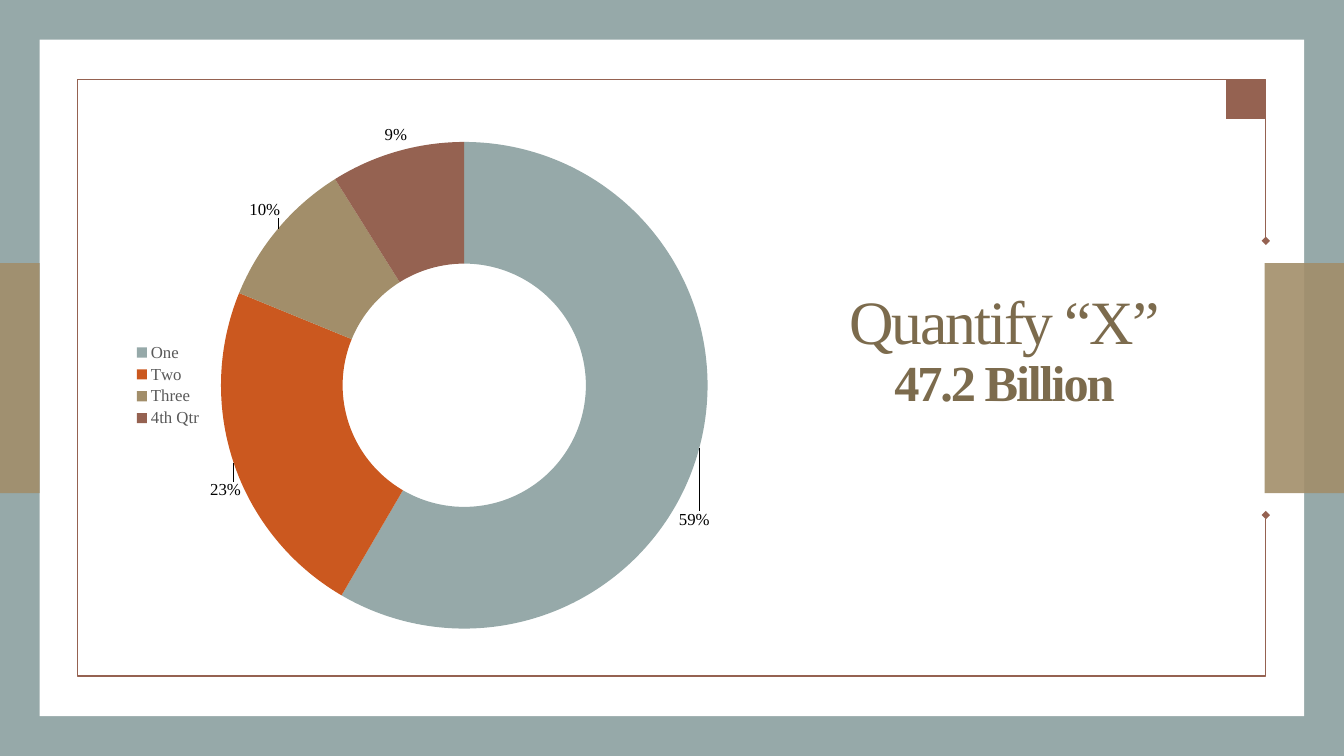
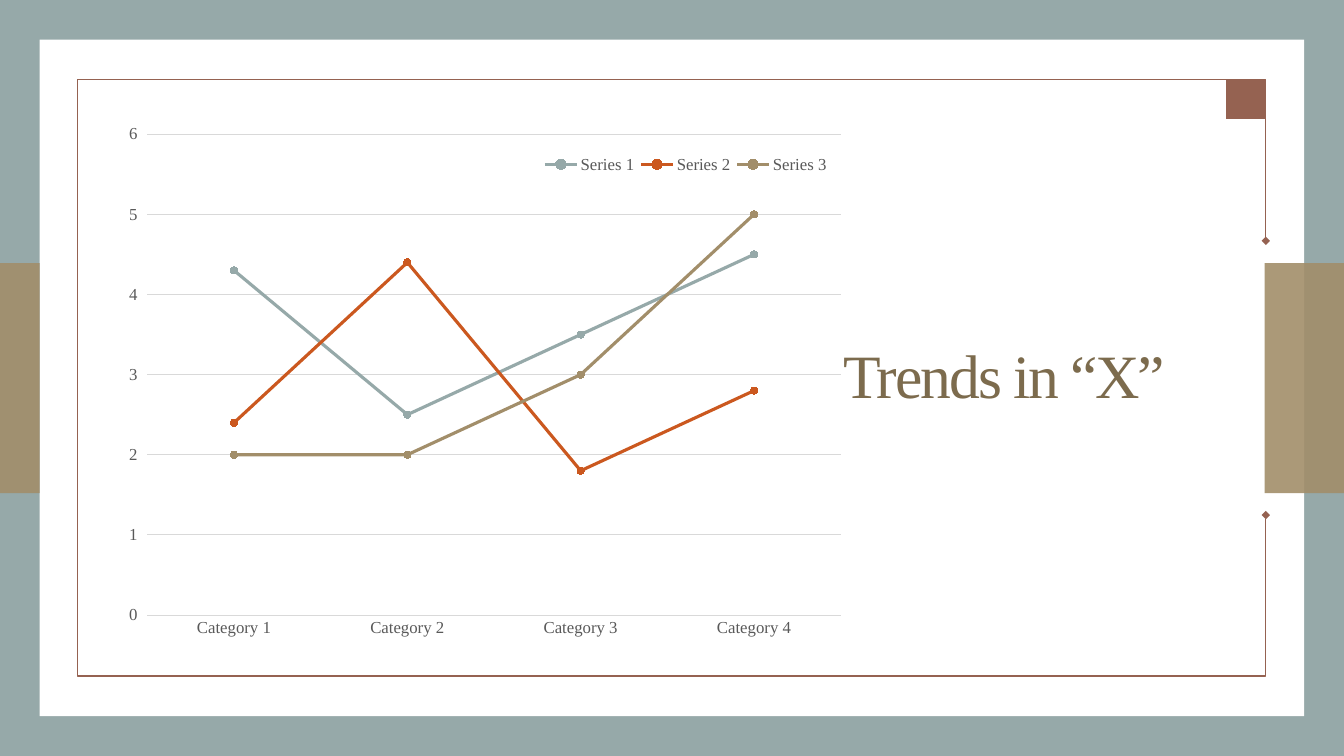
import lxml.etree
import pptx
import pptx.chart.data
import pptx.dml.color
import pptx.enum.chart
import pptx.enum.shapes
import pptx.enum.text
import pptx.oxml.ns
import pptx.util

Cm = pptx.util.Cm
Pt = pptx.util.Pt
qn = pptx.oxml.ns.qn
KIND = pptx.enum.chart.XL_CHART_TYPE
SIDE = pptx.enum.chart.XL_LEGEND_POSITION
TICK = pptx.enum.chart.XL_TICK_MARK

FONT = "Times New Roman"
WIDE, HIGH = 33.87, 19.05
EDGE = 1
INK = {
    "sage": "96A9A9",
    "white": "FFFFFF",
    "tan": "A28E6A",
    "rust": "CB581F",
    "brown": "956251",
    "title": "7C6B4D",
    "grey": "595959",
    "grid": "D9D9D9",
    "black": "000000",
}
HUES = ("sage", "rust", "tan", "brown")


def rgb(name):
    return pptx.dml.color.RGBColor.from_string(INK[name])


def paint(fill, name):
    fill.solid()
    fill.fore_color.rgb = rgb(name)


def stroke(line, name, width):
    paint(line.fill, name)
    line.width = Pt(width)


def style(font, size, color, bold=False):
    font.name = FONT
    font.size = Pt(size)
    font.bold = bold
    font.color.rgb = rgb(color)


def write(para, words, size=44, color="title", bold=False, gap=-1.5):
    """Add a run; gap is the letter spacing in points."""
    run = para.add_run()
    run.text = words
    style(run.font, size, color, bold)
    run.font._element.set("spc", str(int(gap * 100)))


def block(slide, box, color, alpha=None):
    shape = slide.shapes.add_shape(
        pptx.enum.shapes.MSO_SHAPE.RECTANGLE, *map(Cm, box))
    shape.shadow.inherit = False
    paint(shape.fill, color)
    shape.line.fill.background()
    if alpha:
        tone = shape.fill._xPr.find(".//" + qn("a:srgbClr"))
        lxml.etree.SubElement(tone, qn("a:alpha"), val=str(alpha * 1000))


def rule(slide, points):
    """Draw an open outline with a diamond at each end."""
    start, *rest = [(Cm(x), Cm(y)) for x, y in points]
    path = slide.shapes.build_freeform(*start)
    path.add_line_segments(rest, close=False)
    shape = path.convert_to_shape()
    shape.shadow.inherit = False
    shape.fill.background()
    stroke(shape.line, "brown", 1)
    for end in ("a:headEnd", "a:tailEnd"):
        lxml.etree.SubElement(shape.line._ln, qn(end), type="diamond")


def frame(slide):
    """Draw the card, side bands, outline and corner of every slide."""
    left, right, top, base = 1.96, 31.9, 2, 17.04
    block(slide, (EDGE, EDGE, WIDE - 2 * EDGE, HIGH - 2 * EDGE), "white")
    for x, width in ((0, EDGE), (WIDE - 2 * EDGE, 2 * EDGE)):
        block(slide, (x, 6.63, width, 5.8), "tan", 90)
    rule(slide, [(right, 6.07), (right, top), (left, top),
                 (left, base), (right, base), (right, 12.98)])
    block(slide, (right - EDGE, top, EDGE, EDGE), "brown")


def title(slide, head, bold=None):
    box = slide.shapes.add_textbox(Cm(19.74), Cm(6.81), Cm(11.15), Cm(3.7))
    body = box.text_frame
    body.word_wrap = True
    body.vertical_anchor = pptx.enum.text.MSO_ANCHOR.BOTTOM
    para = body.paragraphs[0]
    para.alignment = pptx.enum.text.PP_ALIGN.CENTER
    para.line_spacing = 0.9
    write(para, head)
    if bold:
        para.add_line_break()
        write(para, bold, size=36, bold=True)


def place(node, index, **spots):
    """Give a chart part a manual layout, inserted at a child index."""
    for old in node.findall(qn("c:layout")):
        node.remove(old)
    outer = lxml.etree.Element(qn("c:layout"))
    node.insert(index, outer)
    inner = lxml.etree.SubElement(outer, qn("c:manualLayout"))
    for tag, val in spots.items():
        lxml.etree.SubElement(inner, qn("c:" + tag), val=str(val))


def fix(node, index, x, y, w, h, **first):
    """Place a part by its edges, in shares of the chart."""
    place(node, index, **first, xMode="edge", yMode="edge", x=x, y=y, w=w, h=h)


def graph(slide, kind, box, cats, rows, side):
    """Add a chart with its fonts and legend set."""
    data = pptx.chart.data.CategoryChartData()
    data.categories = cats
    for name, vals in rows.items():
        data.add_series(name, vals)
    chart = slide.shapes.add_chart(kind, *map(Cm, box), data).chart
    chart.has_title = False
    style(chart.font, 10, "black")
    chart.has_legend = True
    chart.legend.position = side
    chart.legend.include_in_layout = False
    style(chart.legend.font, 12, "grey")
    return chart


def ring(slide):
    chart = graph(slide, KIND.DOUGHNUT, (3.1, 2.41, 15.09, 14.6),
                  ("One", "Two", "Three", "4th Qtr"),
                  {"Series 1": (59, 23, 10, 9)}, SIDE.LEFT)
    area = chart._chartSpace.chart.plotArea
    fix(area, 0, 0.16, 0.08, 0.82, 0.84, layoutTarget="inner")
    area.find(".//" + qn("c:holeSize")).set("val", "62")
    plot = chart.plots[0]
    plot.vary_by_categories = True
    row = plot.series[0]
    mask = '0"%"'
    tags = row.data_labels
    tags.show_value = True
    tags.number_format = mask
    tags.number_format_is_linked = False
    style(tags.font, 12, "black")
    shifts = ((0.09, 0.15), (-0.11, 0.08), (-0.1, -0.1), (-0.03, -0.13))
    for i, (hue, (x, y)) in enumerate(zip(HUES, shifts)):
        point = row.points[i]
        paint(point.format.fill, hue)
        point.format.line.fill.background()
        style(point.data_label.font, 12, "black")
        node = tags._element.findall(qn("c:dLbl"))[i]
        place(node, 1, x=x, y=y)
        form = lxml.etree.Element(
            qn("c:numFmt"), formatCode=mask, sourceLinked="0")
        node.insert(2, form)


def trend(slide):
    chart = graph(slide, KIND.LINE_MARKERS, (2.97, 2.97, 18.59, 13.77),
                  [f"Category {n}" for n in range(1, 5)],
                  {"Series 1": (4.3, 2.5, 3.5, 4.5),
                   "Series 2": (2.4, 4.4, 1.8, 2.8),
                   "Series 3": (2, 2, 3, 5)}, SIDE.BOTTOM)
    fix(chart._chartSpace.chart.plotArea, 0, 0.04, 0.03, 0.94, 0.88,
        layoutTarget="inner")
    fix(chart.legend._element, 1, 0.57, 0.06, 0.4, 0.05)
    base, scale = chart.category_axis, chart.value_axis
    for axis, tick in ((base, TICK.NONE), (scale, TICK.OUTSIDE)):
        axis.major_tick_mark = tick
        axis.minor_tick_mark = TICK.NONE
        style(axis.tick_labels.font, 12, "grey")
    stroke(base.format.line, "grid", 0.75)
    scale.format.line.fill.background()
    scale.minimum_scale, scale.maximum_scale, scale.major_unit = 0, 6, 1
    scale.has_major_gridlines = True
    stroke(scale.major_gridlines.format.line, "grid", 0.75)
    chart.plots[0].vary_by_categories = False
    for row, hue in zip(chart.plots[0].series, HUES):
        row.smooth = False
        stroke(row.format.line, hue, 2.25)
        mark = row.marker
        mark.style = pptx.enum.chart.XL_MARKER_STYLE.CIRCLE
        mark.size = 5
        paint(mark.format.fill, hue)
        stroke(mark.format.line, hue, 0.75)


def main():
    deck = pptx.Presentation()
    deck.slide_width, deck.slide_height = Cm(WIDE), Cm(HIGH)
    paint(deck.slide_master.background.fill, "sage")
    pages = (
        (ring, "Quantify “X”", "47.2 Billion"),
        (trend, "Trends in “X”", None),
    )
    for draw, head, bold in pages:
        slide = deck.slides.add_slide(deck.slide_layouts[6])
        frame(slide)
        title(slide, head, bold)
        draw(slide)
    deck.save("out.pptx")


if __name__ == "__main__":
    main()
